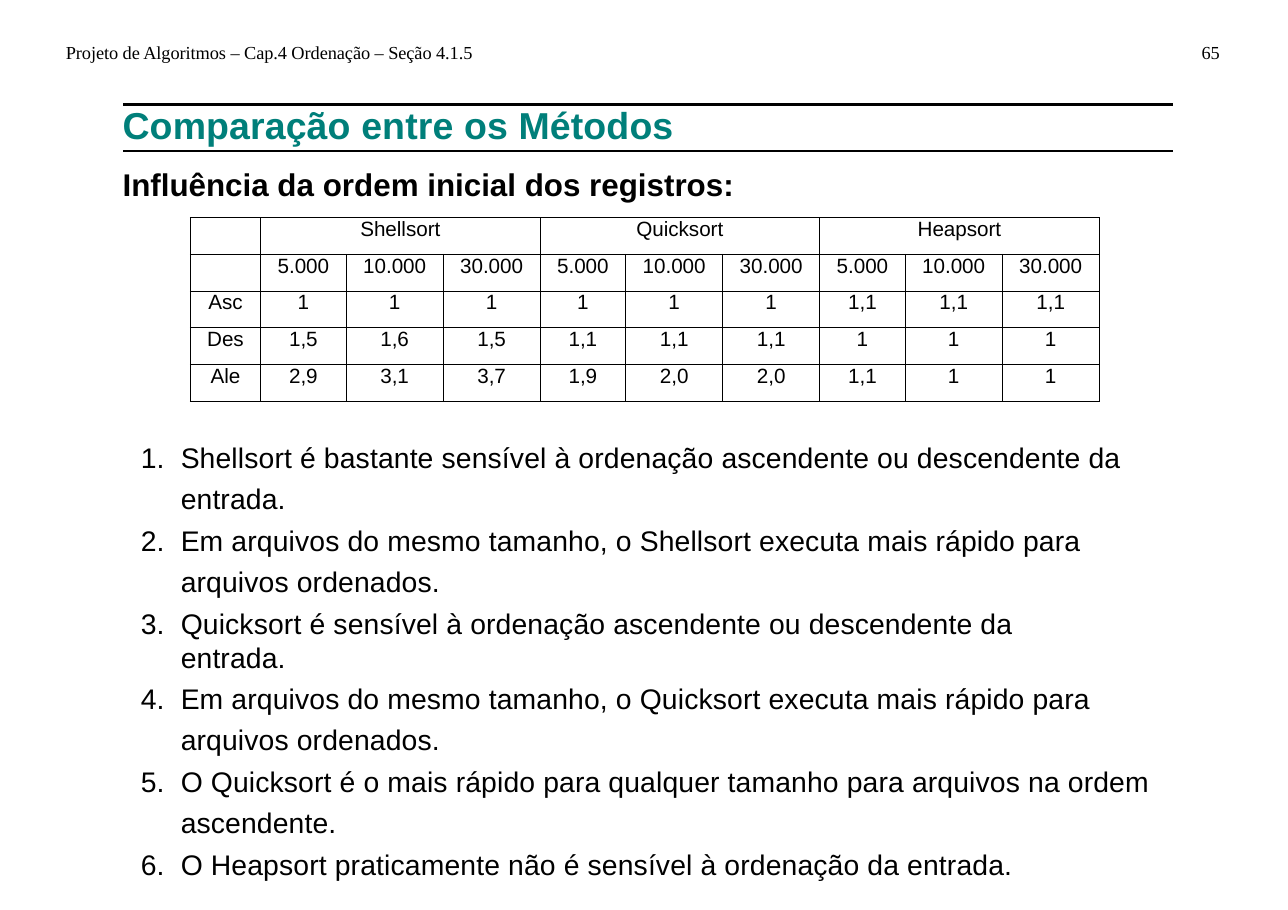
from lxml import etree
from pptx import Presentation
from pptx import util as u
from pptx.dml import color
from pptx.enum import shapes, text
from pptx.oxml import ns

Pt = u.Pt
HEX = {"ink": "000000", "teal": "007F7A"}
SANS, SERIF = "Arial", "Times New Roman"

SIZES = ["5.000", "10.000", "30.000"]
SORTS = ["Shellsort", "Quicksort", "Heapsort"]
ROWS = [
    ["Asc", "1", "1", "1", "1", "1", "1", "1,1", "1,1", "1,1"],
    ["Des", "1,5", "1,6", "1,5", "1,1", "1,1", "1,1", "1", "1", "1"],
    ["Ale", "2,9", "3,1", "3,7", "1,9", "2,0", "2,0", "1,1", "1", "1"],
]
# Text, line spacing, space before, right margin
NOTES = [
    ("Shellsort é bastante sensível à ordenação ascendente ou descendente "
     "da entrada.", 1.21, 0, 0),
    ("Em arquivos do mesmo tamanho, o Shellsort executa mais rápido para "
     "arquivos ordenados.", 1.21, 0.4, 0),
    ("Quicksort é sensível à ordenação ascendente ou descendente da "
     "entrada.", 1, 5, 40),
    ("Em arquivos do mesmo tamanho, o Quicksort executa mais rápido para "
     "arquivos ordenados.", 1.21, 0.4, 0),
    ("O Quicksort é o mais rápido para qualquer tamanho para arquivos na "
     "ordem ascendente.", 1.21, 0.4, 0),
    ("O Heapsort praticamente não é sensível à ordenação da entrada.",
     1, 5, 0),
]


def rgb(key):
    return color.RGBColor.from_string(HEX[key])


def tag(parent, name, **attrs):
    return etree.SubElement(parent, ns.qn(name), attrs)


def add_run(para, words, size, face=SANS, ink="ink", bold=False, gap=0):
    run = para.add_run()
    run.text = words
    font = run.font
    font.size, font.name, font.bold = Pt(size), face, bold
    font.color.rgb = rgb(ink)
    if gap:
        run._r.get_or_add_rPr().set("spc", str(round(gap * 100)))


def add_box(slide, x, y, w, h, wrap=True):
    frame = slide.shapes.add_textbox(Pt(x), Pt(y), Pt(w), Pt(h)).text_frame
    frame.margin_left = frame.margin_right = 0
    frame.margin_top = frame.margin_bottom = 0
    frame.word_wrap = wrap
    return frame


def add_rule(slide, x, y, w):
    line = slide.shapes.add_connector(
        shapes.MSO_CONNECTOR.STRAIGHT, Pt(x), Pt(y), Pt(x + w), Pt(y))
    line.line.color.rgb = rgb("ink")
    line.line.width = Pt(1.73)
    tag(line._element.spPr, "a:effectLst")


def add_header(slide, x, y, w, h):
    # Chapter on the left, page number on the right
    left = add_box(slide, x, y, 273, h, wrap=False)
    add_run(left.paragraphs[0],
            "Projeto de Algoritmos – Cap.4 Ordenação – Seção 4.1.5",
            12, SERIF, gap=-0.05)
    page = add_box(slide, x + w - 14.4, y, 14.4, h, wrap=False)
    add_run(page.paragraphs[0], "65", 12, SERIF, gap=-0.05)


def add_title(slide, x, y, w, h):
    # Two rules around the title, then the subtitle
    for drop in (1.4, 31.8):
        add_rule(slide, x + 0.5, y + drop, w)
    frame = add_box(slide, x, y, w, h)
    head = frame.paragraphs[0]
    add_run(head, "Comparação entre os Métodos", 24.5, ink="teal",
            bold=True, gap=0.1)
    sub = frame.add_paragraph()
    sub.space_before = Pt(11.4)
    add_run(sub, "Influência da ordem inicial dos registros:", 20.5,
            bold=True)


def style_cell(cell):
    cell.margin_left = cell.margin_right = 0
    cell.margin_top = cell.margin_bottom = 0
    cell.fill.background()
    props = cell._tc.get_or_add_tcPr()
    for spot, side in enumerate("LRTB"):
        edge = etree.Element(ns.qn("a:ln" + side), w=str(Pt(0.69)))
        fill = tag(edge, "a:solidFill")
        tag(fill, "a:srgbClr", val=HEX["ink"])
        props.insert(spot, edge)


def add_grid(slide, x, y, w, h):
    top = [""]
    for name in SORTS:
        top += [name, "", ""]
    data = [top, [""] + SIZES * len(SORTS)] + ROWS
    grid = slide.shapes.add_table(
        len(data), len(top), Pt(x), Pt(y), Pt(w), Pt(h)).table
    grid.first_row = grid.horz_banding = False
    # Label column, then one narrow and two wide columns per method
    for col, wide in zip(grid.columns, [45.9] + [55.9, 63.4, 63.4] * 3):
        col.width = Pt(wide)
    for r, row in enumerate(data):
        grid.rows[r].height = Pt(h / len(data))
        for c, words in enumerate(row):
            cell = grid.cell(r, c)
            style_cell(cell)
            if words:
                para = cell.text_frame.paragraphs[0]
                para.alignment = text.PP_ALIGN.CENTER
                add_run(para, words, 13.5)
    for c in range(1, len(top), len(SIZES)):
        grid.cell(0, c).merge(grid.cell(0, c + len(SIZES) - 1))


def add_notes(slide, x, y, w, h):
    # Numbered findings with a hanging indent
    frame = add_box(slide, x, y, w, h)
    for i, (words, lead, before, right) in enumerate(NOTES):
        para = frame.add_paragraph() if i else frame.paragraphs[0]
        props = para._p.get_or_add_pPr()
        props.set("marL", str(Pt(27.6)))
        props.set("marR", str(Pt(right)))
        props.set("indent", str(Pt(-26)))
        tag(props, "a:buFont", typeface=SANS)
        tag(props, "a:buAutoNum", type="arabicPeriod")
        para.line_spacing = lead
        para.space_before = Pt(before)
        add_run(para, words, 18.5, gap=0.1)


def main():
    deck = Presentation()
    deck.slide_width, deck.slide_height = Pt(841.68), Pt(594.72)
    slide = deck.slides.add_slide(deck.slide_layouts[6])
    add_header(slide, 43, 26.8, 756.7, 15)
    add_title(slide, 80.1, 67, 686, 66)
    add_notes(slide, 90.5, 283, 666, 271.5)
    add_grid(slide, 124.4, 142.3, 594, 120)
    deck.save("out.pptx")


if __name__ == "__main__":
    main()
